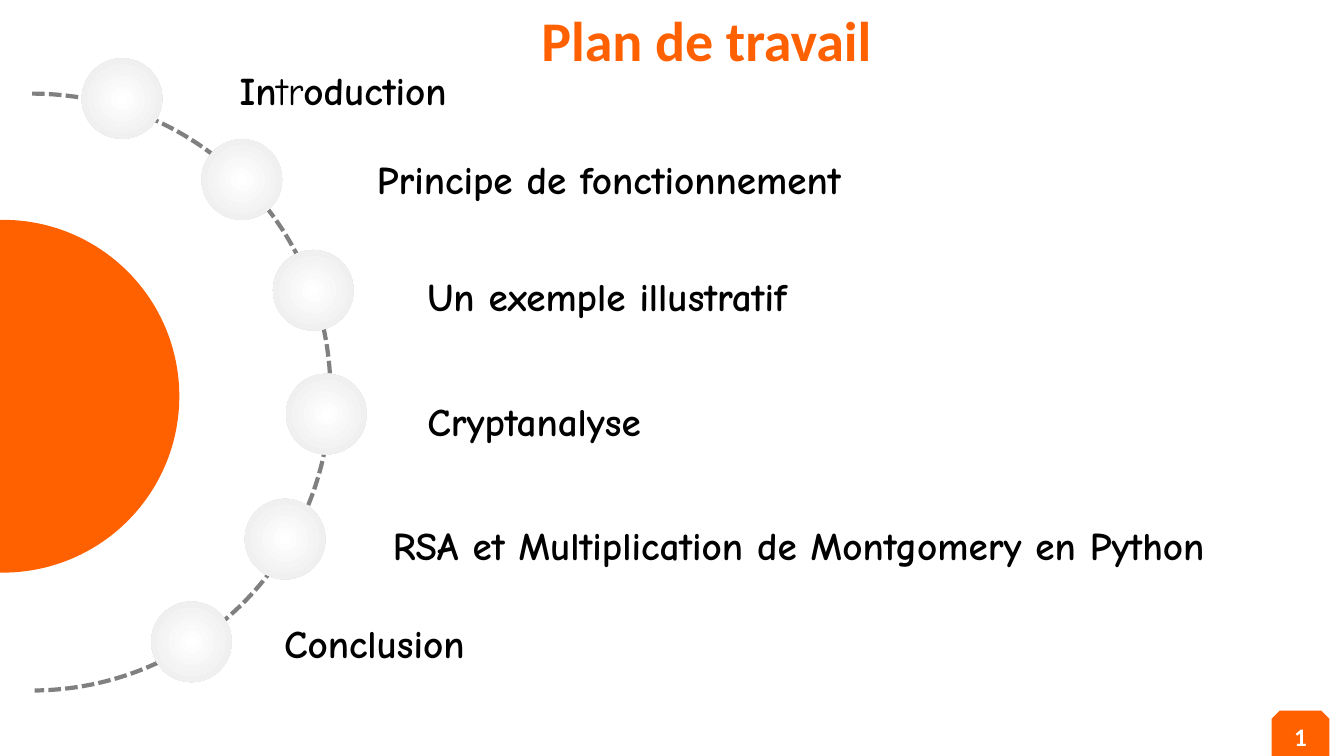
from dataclasses import dataclass

from lxml.etree import SubElement
from pptx import Presentation
from pptx.dml.color import RGBColor
from pptx.enum.dml import MSO_LINE
from pptx.enum.shapes import MSO_SHAPE
from pptx.enum.text import MSO_ANCHOR, PP_ALIGN
from pptx.oxml.ns import qn
from pptx.shapes.autoshape import Shape
from pptx.slide import Slide
from pptx.text.text import _Paragraph
from pptx.util import Cm, Pt

ORANGE = RGBColor(0xFF, 0x60, 0x00)
GREY = RGBColor(0x80, 0x80, 0x80)
BLACK = RGBColor(0, 0, 0)
WHITE = RGBColor(0xFF, 0xFF, 0xFF)
BALL_STOPS = ((0, WHITE), (81, RGBColor(0xEE, 0xEE, 0xEE)), (100, RGBColor(0xD9, 0xD9, 0xD9)))
BALL_SIZE = 2.03
STEP_HEIGHT = 1.45


@dataclass(frozen=True)
class Step:
    """One stage of the plan: its ball and its label, in centimetres."""
    label: str
    ball: tuple[float, float]
    left: float
    top: float
    width: float
    align: PP_ALIGN = PP_ALIGN.LEFT
    light: str = ""  # part of the label that is not bold


STEPS = (
    Step("Introduction", (2.06, 1.47), 5.79, 1.55, 15.98, light="tr"),
    Step("Principe de fonctionnement", (5.08, 3.51), 9.25, 3.78, 22.3, PP_ALIGN.JUSTIFY),
    Step("Un exemple illustratif", (6.88, 6.3), 10.52, 6.73, 16.81, PP_ALIGN.JUSTIFY),
    Step("Cryptanalyse", (7.21, 9.42), 10.52, 9.88, 13.21),
    Step("RSA et Multiplication de Montgomery en Python", (6.17, 12.57), 9.65, 13, 24.28),
    Step("Conclusion", (3.81, 15.16), 6.91, 15.49, 15.98),
)


def set_font(paragraph: _Paragraph, name: str, size: int, color: RGBColor) -> None:
    font = paragraph.font
    font.name, font.size, font.bold = name, Pt(size), True
    font.color.rgb = color


def add_plain_shape(slide: Slide, kind: MSO_SHAPE, left: float, top: float,
                    width: float, height: float) -> Shape:
    """Add a preset shape without shadow, fill or line."""
    shape = slide.shapes.add_shape(kind, Cm(left), Cm(top), Cm(width), Cm(height))
    shape.shadow.inherit = False
    shape.fill.background()
    shape.line.fill.background()
    return shape


def fill_solid(shape: Shape, color: RGBColor) -> None:
    shape.fill.solid()
    shape.fill.fore_color.rgb = color


def fill_radial(shape: Shape) -> None:
    """Replace the empty fill by a gradient spreading from the centre."""
    properties = shape.fill._xPr
    gradient = SubElement(properties, qn("a:gradFill"), rotWithShape="1")
    properties.replace(properties.find(qn("a:noFill")), gradient)
    stops = SubElement(gradient, qn("a:gsLst"))
    for percent, color in BALL_STOPS:
        stop = SubElement(stops, qn("a:gs"), pos=str(percent * 1000))
        SubElement(stop, qn("a:srgbClr"), val=str(color))
    circle = SubElement(gradient, qn("a:path"), path="circle")
    SubElement(circle, qn("a:fillToRect"), l="50000", t="50000", r="50000", b="50000")


def add_title(slide: Slide) -> None:
    title = slide.shapes.title
    title.left, title.top, title.width, title.height = Cm(13.39), Cm(0), Cm(9.52), Cm(1.96)
    title.text_frame.text = "Plan de travail"
    title.text_frame.vertical_anchor = MSO_ANCHOR.TOP
    heading = title.text_frame.paragraphs[0]
    heading.alignment = PP_ALIGN.LEFT
    set_font(heading, "Calibri", 40, ORANGE)


def add_sun_and_orbit(slide: Slide) -> None:
    sun = add_plain_shape(slide, MSO_SHAPE.FLOWCHART_CONNECTOR, -4.37, 5.54, 8.89, 8.89)
    fill_solid(sun, ORANGE)
    orbit = add_plain_shape(slide, MSO_SHAPE.ARC, -6.71, 2.36, 15.04, 15.04)
    orbit.adjustments[0] = 162
    orbit.adjustments[1] = 53.71
    orbit.line.color.rgb = GREY
    orbit.line.width = Pt(3)
    orbit.line.dash_style = MSO_LINE.SQUARE_DOT


def add_step(slide: Slide, step: Step) -> None:
    ball = add_plain_shape(slide, MSO_SHAPE.OVAL, *step.ball, BALL_SIZE, BALL_SIZE)
    fill_radial(ball)
    box = slide.shapes.add_textbox(Cm(step.left), Cm(step.top), Cm(step.width), Cm(STEP_HEIGHT))
    box.text_frame.word_wrap = True
    label = box.text_frame.paragraphs[0]
    label.alignment = step.align
    set_font(label, "Comic Neue", 28, BLACK)
    parts = step.label.partition(step.light) if step.light else (step.label,)
    for part in parts:
        run = label.add_run()
        run.text = part
        if part == step.light:
            run.font.bold = False


def add_page_badge(slide: Slide) -> None:
    badge = add_plain_shape(slide, MSO_SHAPE.SNIP_2_SAME_RECTANGLE, 32.05, 17.91, 1.45, 1.19)
    fill_solid(badge, ORANGE)
    badge.text_frame.text = "1"
    badge.text_frame.vertical_anchor = MSO_ANCHOR.MIDDLE
    number = badge.text_frame.paragraphs[0]
    number.alignment = PP_ALIGN.CENTER
    set_font(number, "Calibri", 18, WHITE)


def main() -> None:
    presentation = Presentation()
    presentation.slide_width, presentation.slide_height = Cm(33.87), Cm(19.05)
    slide = presentation.slides.add_slide(presentation.slide_layouts[5])
    add_title(slide)
    add_sun_and_orbit(slide)
    for step in STEPS:
        add_step(slide, step)
    add_page_badge(slide)
    presentation.save("out.pptx")


if __name__ == "__main__":
    main()
